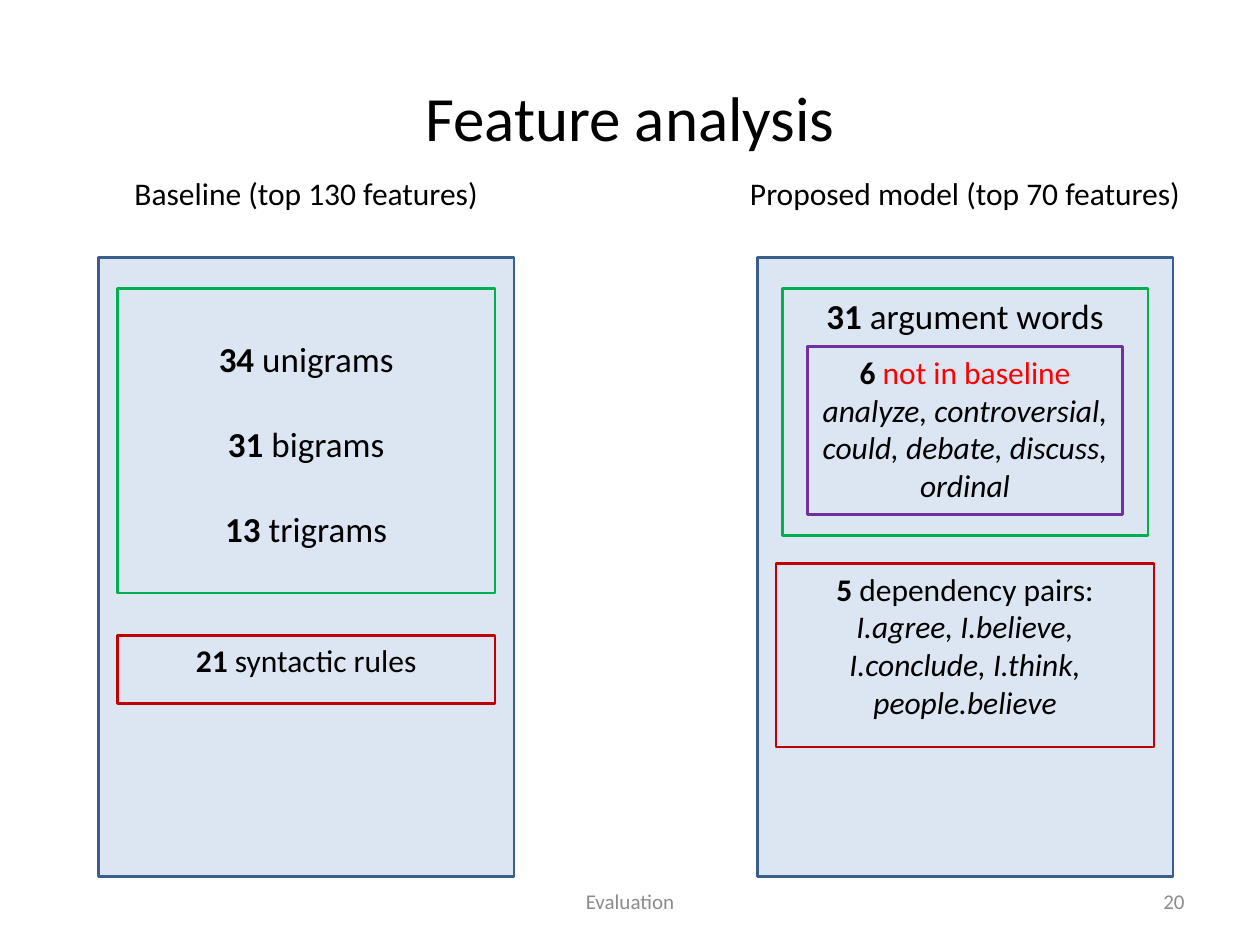
"""Build the feature analysis slide comparing the baseline with the proposed model."""
from pptx import Presentation
from pptx.dml.color import RGBColor
from pptx.enum.shapes import MSO_SHAPE
from pptx.enum.text import MSO_ANCHOR, PP_ALIGN
from pptx.util import Pt

RECTANGLE = MSO_SHAPE.RECTANGLE
TOP, MIDDLE = MSO_ANCHOR.TOP, MSO_ANCHOR.MIDDLE
CENTER, RIGHT = PP_ALIGN.CENTER, PP_ALIGN.RIGHT

THEME = {
    "font": "Calibri",
    "sizes": {"title": 36, "large": 20, "body": 18, "footer": 12},
    "colors": {
        "text": "000000", "alert": "FF0000", "muted": "8C8C8C",
        "panel": "DCE6F2", "panel_line": "3A5F8C",
        "green": "00B050", "red": "C00000", "purple": "7030A0",
    },
    "line": 1.5,
}

BOLD, ITALIC, ALERT = {"bold": True}, {"italic": True}, {"color": "alert"}
SLIDE_SIZE = (720, 540)
PANEL_TOP, PANEL_WIDTH, PANEL_HEIGHT = 147, 237.6, 354
CAPTION_TOP, CAPTION_HEIGHT = 95.8, 29
INSET = 3.6

LABELS = [
    {"box": (36, 21.6, 648, 90), "text": "Feature analysis", "size": "title"},
    {"box": (246, 500.5, 228, 28.8), "text": "Evaluation", "size": "footer", "color": "muted"},
    {"box": (516, 500.5, 168, 28.8), "text": "20", "size": "footer", "color": "muted",
     "align": RIGHT},
]

PANELS = [
    {
        "center": 175, "caption": "Baseline (top 130 features)", "caption_width": 213,
        "boxes": [
            {"top": 165, "width": 216, "height": 174, "line": "green", "size": "large", "gap": 24.4,
             "paragraphs": [
                 [("34", BOLD), (" unigrams", {})],
                 [("31 ", BOLD), ("bigrams", {})],
                 [("13 ", BOLD), ("trigrams", {})],
             ]},
            {"top": 363, "width": 216, "height": 39, "line": "red", "size": "body",
             "paragraphs": [[("21", BOLD), (" syntactic rules", {})]]},
        ],
    },
    {
        "center": 551.5, "caption": "Proposed model (top 70 features)", "caption_width": 263.5,
        "boxes": [
            {"top": 165, "width": 209, "height": 141, "line": "green", "size": "large",
             "paragraphs": [[("31", BOLD), (" argument words", {})]]},
            {"top": 322, "width": 216, "height": 105, "line": "red", "size": "body",
             "paragraphs": [
                 [("5", BOLD), (" dependency pairs:", {})],
                 [("I.agree, I.believe, I.conclude, I.think, people.believe", ITALIC)],
             ]},
            {"top": 198, "width": 180, "height": 96, "line": "purple", "size": "body",
             "paragraphs": [[
                 ("6 ", BOLD), ("not in baseline ", ALERT),
                 ("analyze, controversial, could, debate, discuss, ordinal", ITALIC),
             ]]},
        ],
    },
]


def theme_color(name):
    return RGBColor.from_string(THEME["colors"][name])


def write_text(shape, paragraphs, size, align=CENTER, anchor=TOP, gap=0, wrap=True):
    frame = shape.text_frame
    frame.word_wrap = wrap
    frame.vertical_anchor = anchor
    frame.margin_top = Pt(INSET + gap)
    frame.text = "\n".join("" for _ in paragraphs)
    for index, (paragraph, parts) in enumerate(zip(frame.paragraphs, paragraphs)):
        paragraph.alignment = align
        if gap and index:
            paragraph.space_before = Pt(gap)
        for text, style in parts:
            run = paragraph.add_run()
            run.text = text
            run.font.name = THEME["font"]
            run.font.size = Pt(THEME["sizes"][size])
            run.font.bold = style.get("bold", False)
            run.font.italic = style.get("italic", False)
            run.font.color.rgb = theme_color(style.get("color", "text"))


def add_label(slide, box, text, size, color="text", align=CENTER, anchor=MIDDLE, wrap=True):
    shape = slide.shapes.add_textbox(*map(Pt, box))
    write_text(shape, [[(text, {"color": color})]], size, align, anchor, wrap=wrap)


def add_rectangle(slide, center, top, width, height, line, fill=None):
    shape = slide.shapes.add_shape(
        RECTANGLE, Pt(center - width / 2), Pt(top), Pt(width), Pt(height))
    shape.shadow.inherit = False
    if fill:
        shape.fill.solid()
        shape.fill.fore_color.rgb = theme_color(fill)
    else:
        shape.fill.background()
    shape.line.color.rgb = theme_color(line)
    shape.line.width = Pt(THEME["line"])
    return shape


def add_panel(slide, panel):
    center, width = panel["center"], panel["caption_width"]
    add_label(slide, (center - width / 2, CAPTION_TOP, width, CAPTION_HEIGHT),
              panel["caption"], "body", anchor=TOP, wrap=False)
    add_rectangle(slide, center, PANEL_TOP, PANEL_WIDTH, PANEL_HEIGHT, "panel_line", "panel")
    for box in panel["boxes"]:
        shape = add_rectangle(
            slide, center, box["top"], box["width"], box["height"], box["line"])
        write_text(shape, box["paragraphs"], box["size"], gap=box.get("gap", 0))


def main():
    presentation = Presentation()
    presentation.slide_width, presentation.slide_height = map(Pt, SLIDE_SIZE)
    slide = presentation.slides.add_slide(presentation.slide_layouts[6])
    for label in LABELS:
        add_label(slide, **label)
    for panel in PANELS:
        add_panel(slide, panel)
    presentation.save("out.pptx")


if __name__ == "__main__":
    main()
